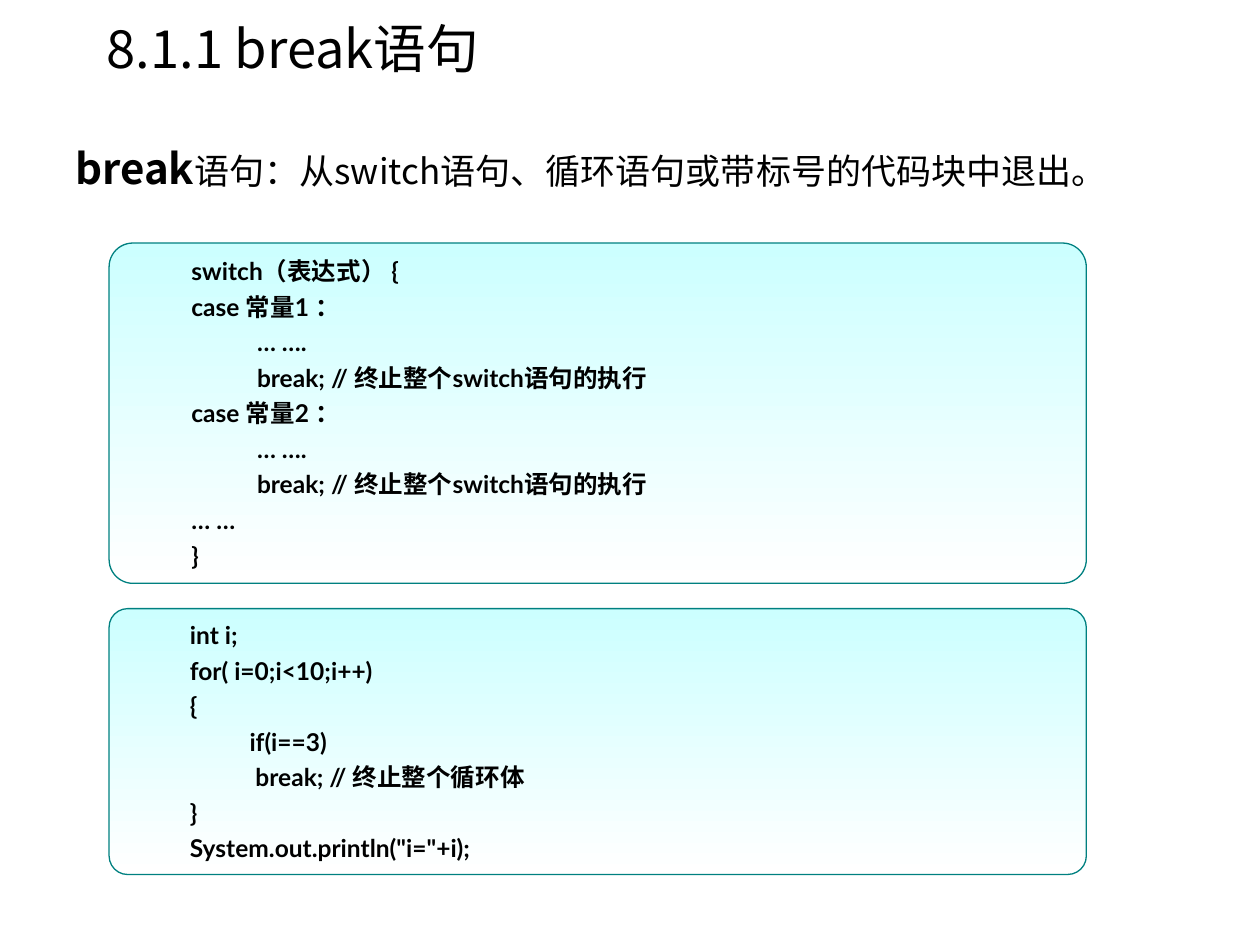
"""Build the slide that explains the break statement in Java."""
from dataclasses import dataclass

from lxml import etree
from pptx import Presentation
from pptx.dml.color import RGBColor
from pptx.enum.shapes import MSO_SHAPE
from pptx.enum.text import MSO_ANCHOR, PP_ALIGN
from pptx.oxml.ns import qn
from pptx.util import Cm, Pt

ROUNDED = MSO_SHAPE.ROUNDED_RECTANGLE
MIDDLE = MSO_ANCHOR.MIDDLE
LEFT = PP_ALIGN.LEFT


@dataclass(frozen=True)
class Theme:
    text: RGBColor = RGBColor(0x00, 0x00, 0x00)
    border: RGBColor = RGBColor(0x00, 0x80, 0x80)
    panel_top: RGBColor = RGBColor(0xCC, 0xFF, 0xFF)
    panel_bottom: RGBColor = RGBColor(0xFF, 0xFF, 0xFF)
    title_size: Pt = Pt(30)
    keyword_size: Pt = Pt(24)
    body_size: Pt = Pt(20)
    code_size: Pt = Pt(14)
    body_font: str = "Noto Sans CJK SC"
    code_font: str = "Lato"


theme = Theme()


def style_run(r, size, font=theme.body_font, bold=False):
    r.font.size = size
    r.font.name = font
    r.font.bold = bold
    r.font.color.rgb = theme.text
    ea = etree.SubElement(r.font._element, qn("a:ea"))
    ea.set("typeface", theme.body_font)


def add_text(s, left, top, width, height):
    tf = s.shapes.add_textbox(Cm(left), Cm(top), Cm(width), Cm(height)).text_frame
    tf.word_wrap = True
    return tf


prs = Presentation()
prs.slide_width, prs.slide_height = Cm(25.4), Cm(19.05)
s = prs.slides.add_slide(prs.slide_layouts[6])

tf = add_text(s, 1.9, 0, 21.6, 1.9)
tf.vertical_anchor = MIDDLE
tf.text = "8.1.1 break语句"
style_run(tf.paragraphs[0].runs[0], theme.title_size)

p = add_text(s, 1.27, 2.74, 24.13, 1.27).paragraphs[0]
for text, size, bold in (
    ("break", theme.keyword_size, True),
    ("语句：从switch语句、循环语句或带标号的代码块中退出。", theme.body_size, False),
):
    r = p.add_run()
    r.text = text
    style_run(r, size, bold=bold)

case_body = ["           … ….", "           break; // 终止整个switch语句的执行"]
switch_code = [
    "switch（表达式） {",
    "case 常量1 ：", *case_body,
    "case 常量2 ：", *case_body,
    "… …",
    "}",
]
loop_code = [
    "int i;",
    "for( i=0;i<10;i++)",
    "{",
    "          if(i==3)",
    "           break; // 终止整个循环体",
    "}",
    'System.out.println("i="+i);',
]

for top, height, code in ((4.9, 6.86, switch_code), (12.27, 5.36, loop_code)):
    sp = s.shapes.add_shape(ROUNDED, Cm(2.2), Cm(top), Cm(19.7), Cm(height))
    sp.shadow.inherit = False
    sp.adjustments[0] = 0.07
    sp.fill.gradient()
    sp.fill.gradient_angle = 270
    for stop, color in zip(sp.fill.gradient_stops, (theme.panel_top, theme.panel_bottom)):
        stop.color.rgb = color
    sp.line.color.rgb = theme.border
    sp.line.width = Pt(0.75)
    tf = sp.text_frame
    tf.word_wrap = True
    tf.vertical_anchor = MIDDLE
    tf.text = "\n".join(code)
    for i, p in enumerate(tf.paragraphs):
        p.alignment = LEFT
        p.space_before = Pt(3.5 if i else 0)
        p._p.get_or_add_pPr().set("marL", str(Cm(1.27)))
        style_run(p.runs[0], theme.code_size, theme.code_font, bold=True)

prs.save("out.pptx")
